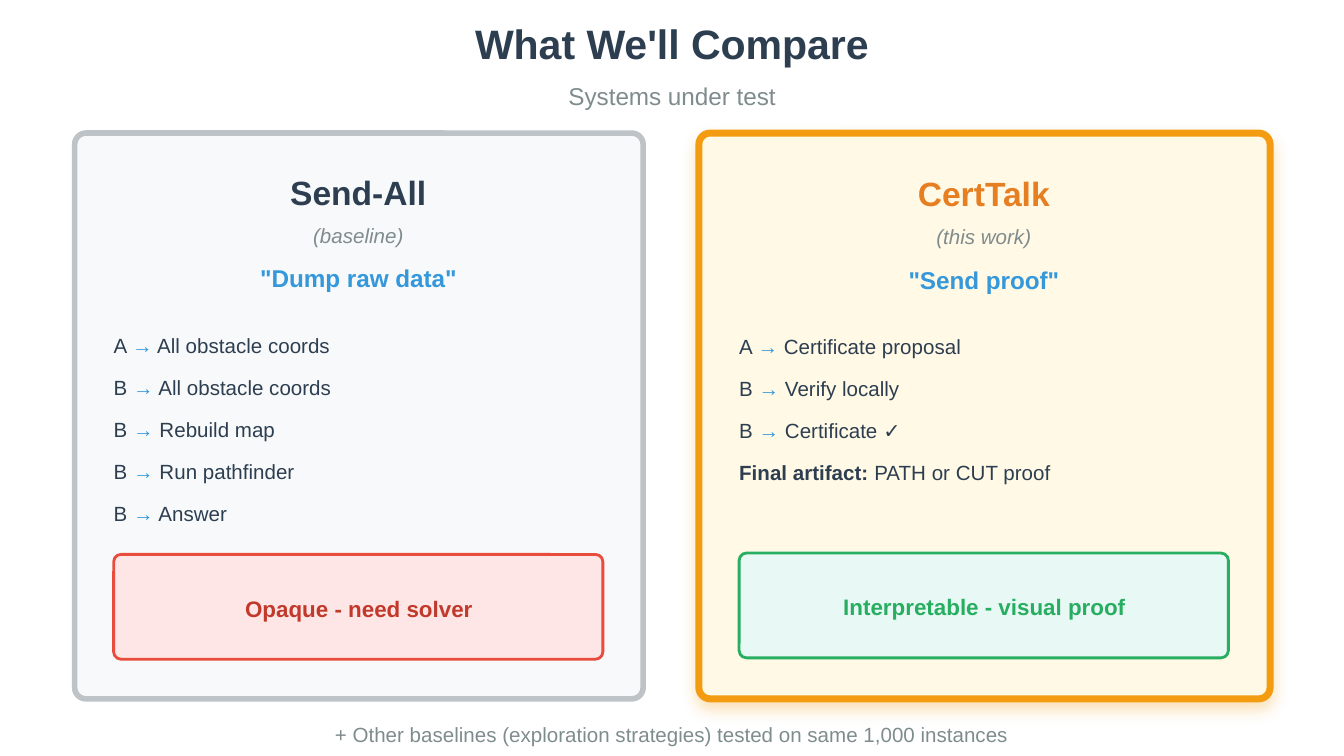
import pptx
import pptx.util
import pptx.dml.color
import pptx.enum.shapes
import pptx.enum.text
import pptx.oxml
import pptx.oxml.ns

COLS, ROWS = 100, 56.25
INK, GRAY, BLUE = "2C3E50", "7F8C8D", "3498DB"


def tint(code):
    return pptx.dml.color.RGBColor.from_string(code)


def write(frame, words, size=11, color=INK, bold=False, slant=False,
          align="CENTER", lead=None, after=0):
    frame.word_wrap = True
    frame.auto_size = pptx.enum.text.MSO_AUTO_SIZE.NONE
    frame.vertical_anchor = pptx.enum.text.MSO_ANCHOR.TOP
    frame.margin_left = frame.margin_right = 0
    frame.margin_top = frame.margin_bottom = 0
    para = frame.paragraphs[0]
    para.alignment = pptx.enum.text.PP_ALIGN[align]
    para.space_before = pptx.util.Pt(0)
    para.space_after = pptx.util.Pt(after)
    if lead:
        para.line_spacing = pptx.util.Pt(lead)
    runs = [(words, color, bold)] if isinstance(words, str) else words
    for part, hue, heavy in runs:
        run = para.add_run()
        run.text = part
        run.font.name = "Arial"
        run.font.size = pptx.util.Pt(size)
        run.font.bold = heavy
        run.font.italic = slant
        run.font.color.rgb = tint(hue)


def step(who, what):
    return [(who + " ", INK, False), ("→", BLUE, True), (" " + what, INK, False)]


class Deck:
    def __init__(self):
        self.file = pptx.Presentation()
        self.file.slide_width = pptx.util.Inches(10)
        self.file.slide_height = pptx.util.Inches(10 * 9 / 16)
        self.page = self.file.slides.add_slide(self.file.slide_layouts[5])

    def place(self, x, y, w, h):
        col = self.file.slide_width / COLS
        row = self.file.slide_height / ROWS
        return [round(n) for n in (x * col, y * row, w * col, h * row)]

    def title(self, words, *spot, **style):
        head = self.page.shapes.title
        head.left, head.top, head.width, head.height = self.place(*spot)
        write(head.text_frame, words, **style)

    def text(self, words, *spot, **style):
        box = self.page.shapes.add_textbox(*self.place(*spot))
        write(box.text_frame, words, **style)

    def panel(self, *spot, fill, edge, width, curve):
        kind = pptx.enum.shapes.MSO_SHAPE.ROUNDED_RECTANGLE
        shape = self.page.shapes.add_shape(kind, *self.place(*spot))
        shape.adjustments[0] = curve
        shape.shadow.inherit = False
        shape.fill.solid()
        shape.fill.fore_color.rgb = tint(fill)
        shape.line.color.rgb = tint(edge)
        shape.line.width = pptx.util.Pt(width)
        return shape

    def glow(self, shape, color):
        space = pptx.oxml.ns.nsdecls("a")
        blur, drop = pptx.util.Pt(8), pptx.util.Pt(4)
        shade = pptx.oxml.parse_xml(
            f'<a:outerShdw {space} blurRad="{blur}" dist="{drop}" dir="5400000" '
            f'rotWithShape="0"><a:srgbClr val="{color}"><a:alpha val="30000"/>'
            f'</a:srgbClr></a:outerShdw>')
        shape._element.spPr.find(pptx.oxml.ns.qn("a:effectLst")).append(shade)

    def card(self, x, y, w, name, role, quote, steps, end, fill, edge, width,
             hue, mark, drop=0, glow=False):
        frame = self.panel(x, y, w, 42.1, fill=fill, edge=edge, width=width, curve=0.02)
        if glow:
            self.glow(frame, edge)
        left = x + 2.5 + drop
        top = y + drop
        self.text(name, left, top + 2.9, 37.2, 2.9, size=18, color=hue,
                  bold=True, after=6)
        self.text(role, left, top + 6.7, 37.2, 1.7, color=GRAY, slant=True, after=10)
        self.text(quote, left, top + 9.7, 37.2, 2.2, size=13, color=BLUE,
                  bold=True, after=12)
        for i, words in enumerate(steps):
            self.text(words, left + 0.4, top + 14.25 + i * 3.13, 37.2, 2.4,
                      align="LEFT", lead=17.6, after=5)
        back, rim, ink = mark
        base = y + 31.35 - drop
        self.panel(left + 0.4, base, 36.4, 7.8, fill=back, edge=rim,
                   width=1.5, curve=0.07)
        self.text(end, left + 1.4, base + 3, 34.5, 1.9, size=12, color=ink,
                  bold=True, after=12)


def main():
    deck = Deck()
    deck.title("What We'll Compare", -1, 1.4, 102, 3.5, size=22, bold=True, after=8)
    deck.text("Systems under test", -1, 6.04, 102, 2.2, size=13, color=GRAY, after=12)
    deck.card(
        5.56, 9.9, 42.3, "Send-All", "(baseline)", '"Dump raw data"',
        [step("A", "All obstacle coords"), step("B", "All obstacle coords"),
         step("B", "Rebuild map"), step("B", "Run pathfinder"), step("B", "Answer")],
        "Opaque - need solver", fill="F8F9FA", edge="BDC3C7", width=3, hue=INK,
        mark=("FFE6E6", "E74C3C", "C0392B"))
    deck.card(
        52, 9.9, 42.5, "CertTalk", "(this work)", '"Send proof"',
        [step("A", "Certificate proposal"), step("B", "Verify locally"),
         step("B", "Certificate ✓"),
         [("Final artifact:", INK, True), (" PATH or CUT proof", INK, False)]],
        "Interpretable - visual proof", fill="FFF9E6", edge="F39C12", width=3.75,
        hue="E67E22", mark=("E8F8F5", "27AE60", "27AE60"), drop=0.1, glow=True)
    deck.text("+ Other baselines (exploration strategies) tested on same 1,000 instances",
              -1, 53.7, 102, 1.7, color=GRAY, after=30)
    deck.file.save("out.pptx")


if __name__ == "__main__":
    main()
